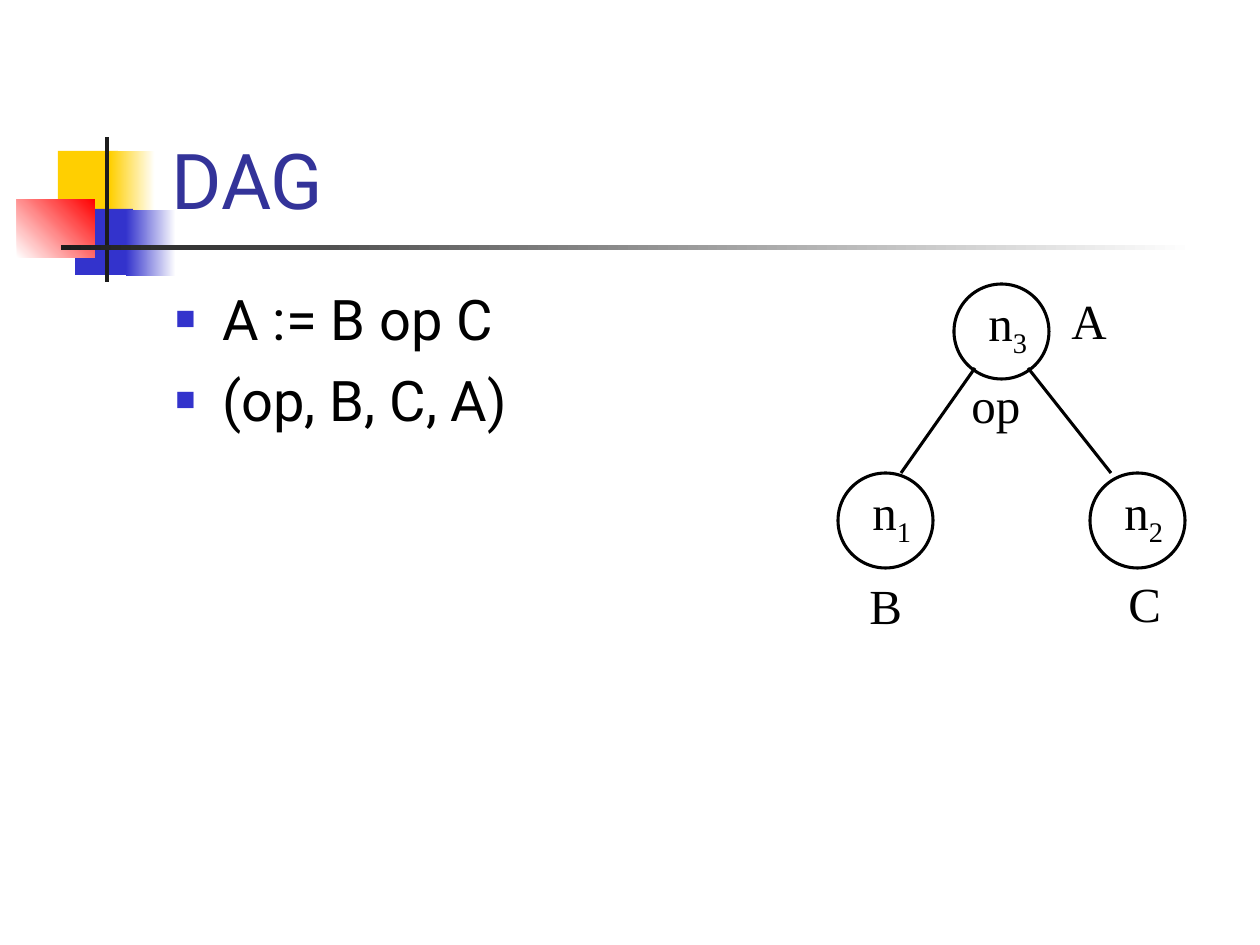
from dataclasses import dataclass

from lxml import etree
from pptx import Presentation
from pptx import util as u
from pptx.dml.color import RGBColor
from pptx.enum import shapes, text
from pptx.oxml import ns

PX = 914400 / 126


@dataclass(frozen=True)
class Theme:
    sans: str = "Roboto"
    serif: str = "Times New Roman"
    title_size: int = 44
    body_size: int = 32
    graph_size: int = 28
    stroke: float = 1.75
    title: str = "333399"
    ink: str = "000000"
    paper: str = "FFFFFF"
    yellow: str = "FFCF01"
    blue: str = "3333CC"
    red: str = "FF0000"
    rule: str = "1C1C1C"


THEME = Theme()


def px(*lengths):
    return [u.Emu(round(length * PX)) for length in lengths]


def rgb(color):
    return RGBColor.from_string(color)


def add_block(slide, box, color, fade_to=None, angle=0):
    block = slide.shapes.add_shape(shapes.MSO_SHAPE.RECTANGLE, *px(*box))
    block.shadow.inherit = False
    block.line.fill.background()
    if fade_to:
        block.fill.gradient()
        block.fill.gradient_angle = angle
        for stop, shade in zip(block.fill.gradient_stops, (color, fade_to)):
            stop.color.rgb = rgb(shade)
    else:
        block.fill.solid()
        block.fill.fore_color.rgb = rgb(color)


def add_run(paragraph, words, font, size, color):
    run = paragraph.add_run()
    run.text = words
    run.font.name = font
    run.font.size = u.Pt(size)
    run.font.color.rgb = rgb(color)
    return run


def add_title(slide, box, words):
    frame = slide.shapes.add_textbox(*px(*box)).text_frame
    frame.word_wrap = True
    frame.vertical_anchor = text.MSO_ANCHOR.BOTTOM
    add_run(frame.paragraphs[0], words, THEME.sans, THEME.title_size, THEME.title)


def set_square_bullet(paragraph, indent):
    props = paragraph._p.get_or_add_pPr()
    props.set("marL", str(indent))
    props.set("indent", str(-indent))
    bullet_color = etree.SubElement(props, ns.qn("a:buClr"))
    etree.SubElement(bullet_color, ns.qn("a:srgbClr"), val=THEME.blue)
    etree.SubElement(props, ns.qn("a:buSzPct"), val="60000")
    etree.SubElement(props, ns.qn("a:buFont"), typeface=THEME.serif)
    etree.SubElement(props, ns.qn("a:buChar"), char="■")


def add_bullets(slide, box, items):
    frame = slide.shapes.add_textbox(*px(*box)).text_frame
    frame.word_wrap = True
    for index, item in enumerate(items):
        paragraph = frame.add_paragraph() if index else frame.paragraphs[0]
        set_square_bullet(paragraph, px(47)[0])
        if index:
            paragraph.space_before = u.Pt(8)
        add_run(paragraph, item, THEME.sans, THEME.body_size, THEME.ink)


def add_label(graph, box, words, subscript=None):
    frame = graph.shapes.add_textbox(*px(*box)).text_frame
    frame.word_wrap = False
    frame.auto_size = text.MSO_AUTO_SIZE.SHAPE_TO_FIT_TEXT
    style = (THEME.serif, THEME.graph_size, THEME.ink)
    add_run(frame.paragraphs[0], words, *style)
    if subscript:
        index = add_run(frame.paragraphs[0], subscript, *style)
        index._r.get_or_add_rPr().set("baseline", "-25000")


def add_node(graph, left, top, number):
    node = graph.shapes.add_shape(shapes.MSO_SHAPE.OVAL, *px(left, top, 95, 95))
    node.shadow.inherit = False
    node.fill.solid()
    node.fill.fore_color.rgb = rgb(THEME.paper)
    node.line.color.rgb = rgb(THEME.ink)
    node.line.width = u.Pt(THEME.stroke)
    add_label(graph, (left + 22, top + 2, 66, 79), "n", number)


def add_edge(graph, start, end):
    edge = graph.shapes.add_connector(
        shapes.MSO_CONNECTOR.STRAIGHT, *px(*start, *end))
    edge.line.color.rgb = rgb(THEME.ink)
    edge.line.width = u.Pt(THEME.stroke)
    etree.SubElement(edge._element.spPr, ns.qn("a:effectLst"))


def add_ornament(slide):
    add_block(slide, (58, 151, 60, 66), THEME.yellow)
    add_block(slide, (110, 151, 45, 66), THEME.yellow, THEME.paper)
    add_block(slide, (75, 209, 58, 66), THEME.blue)
    add_block(slide, (126, 210, 50, 66), THEME.blue, THEME.paper)
    add_block(slide, (17, 199, 78, 59), THEME.paper, THEME.red, angle=45)
    add_block(slide, (105, 137, 4, 145), THEME.rule)
    add_block(slide, (61, 245, 1134, 5), THEME.rule, THEME.paper)


def add_graph(slide):
    graph = slide.shapes.add_group_shape()
    for left, top, number in ((838, 473, "1"), (1090, 473, "2"), (954, 284, "3")):
        add_node(graph, left, top, number)
    add_edge(graph, (975, 368), (901, 473))
    add_edge(graph, (1028, 368), (1111, 473))
    for words, left, top, width in (
        ("B", 857, 569, 58),
        ("C", 1116, 567, 58),
        ("A", 1059, 284, 60),
        ("op", 959, 368, 74),
    ):
        add_label(graph, (left, top, width, 72), words)


def main():
    deck = Presentation()
    deck.slide_width, deck.slide_height = px(1260, 945)
    slide = deck.slides.add_slide(deck.slide_layouts[6])
    add_ornament(slide)
    add_title(slide, (159, 29, 1074, 202), "DAG")
    add_bullets(slide, (163, 278, 1071, 567), ("A := B op C", "(op, B, C, A)"))
    add_graph(slide)
    deck.save("out.pptx")


if __name__ == "__main__":
    main()
